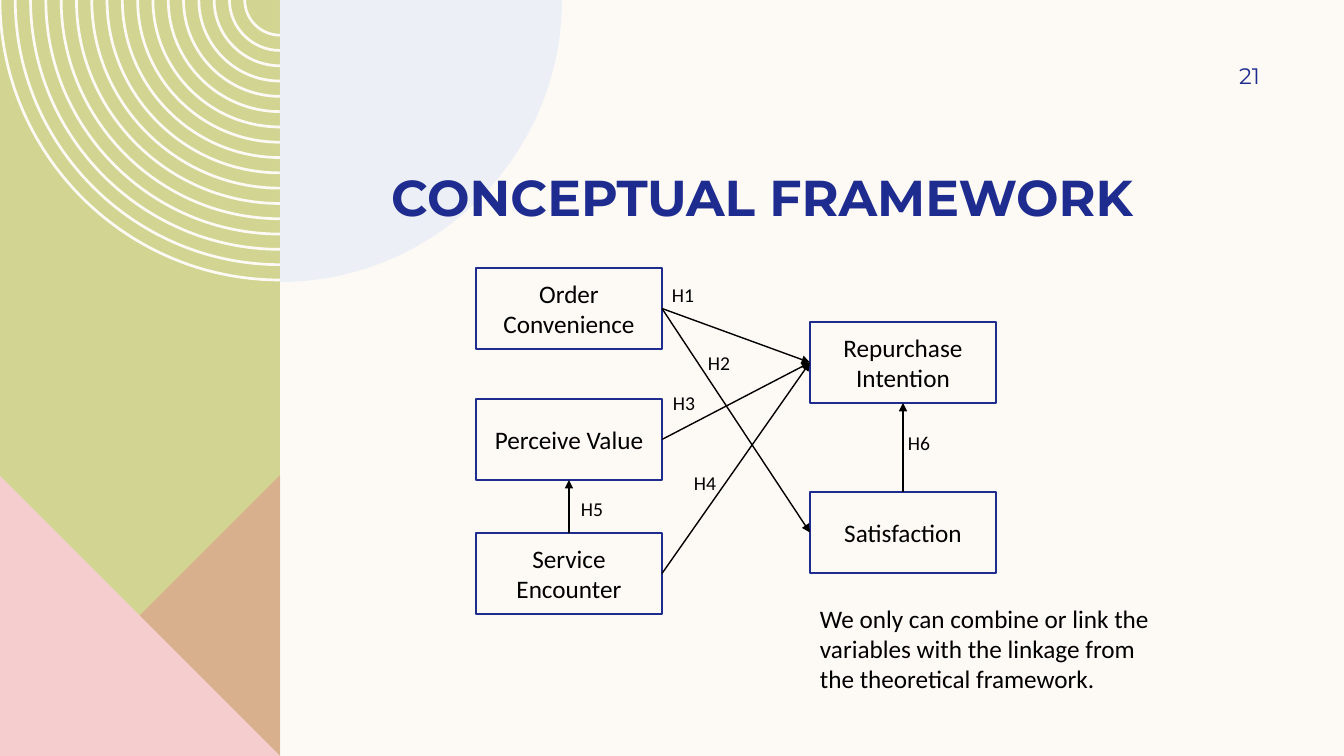
import lxml.etree
import pptx
import pptx.dml.color
import pptx.enum.shapes
import pptx.enum.text
import pptx.oxml.ns
import pptx.util

PX = 914400 / 100.8
ALIGN = pptx.enum.text.PP_ALIGN
ANCHOR = pptx.enum.text.MSO_ANCHOR
THEME = {
    "cream": "FDFAF6", "green": "D2D592", "rose": "DE8C8C", "pink": "F5CDCE",
    "sky": "DDE7F6", "navy": "1F2C8F", "black": "000000",
    "heading": "Montserrat", "body": "Calibri",
    "title_size": 36, "text_size": 18, "number_size": 16, "label_size": 14,
}
COLORS = {name: pptx.dml.color.RGBColor.from_string(THEME[name])
          for name in ("cream", "green", "rose", "pink", "sky", "navy", "black")}


def px(*lengths):
    return [pptx.util.Emu(round(length * PX)) for length in lengths]


def write(shape, text, font=THEME["body"], size=THEME["text_size"], color="black",
          bold=False, align=ALIGN.LEFT, anchor=ANCHOR.TOP, insets=(10, 5, 10, 5)):
    frame = shape.text_frame
    frame.word_wrap = True
    frame.auto_size = pptx.enum.text.MSO_AUTO_SIZE.NONE
    frame.vertical_anchor = anchor
    (frame.margin_left, frame.margin_top,
     frame.margin_right, frame.margin_bottom) = px(*insets)
    para = frame.paragraphs[0]
    para.alignment = align
    span = para.add_run()
    span.text = text
    span.font.name = font
    span.font.size = pptx.util.Pt(size)
    span.font.bold = bold
    span.font.color.rgb = COLORS[color]


deck = pptx.Presentation()
deck.slide_width, deck.slide_height = px(1344, 756)
page = deck.slides.add_slide(deck.slide_layouts[5])
page.background.fill.solid()
page.background.fill.fore_color.rgb = COLORS["cream"]

# Side panel: contours, colour, opacity in percent, kind of outline
BEND = 0.55  # handle length of a quarter circle, as a share of its radius
radii = [280 - 15.3 * index for index in range(17)]
rings = [[(280 - r, 0), (280 - r, BEND * r), (280 - BEND * r, r), (280, r)] for r in radii]
quarter_disc = [(280, 282), (280 + BEND * 282, 282), (562, BEND * 282), (562, 0), (280, 0)]
decorations = [
    ([[(-1, 0), (280, 0), (280, 756), (-1, 756)]], "green", 100, "straight"),
    (rings, "cream", 100, "stroke"),
    ([[(280, 475), (280, 756), (-1, 756)]], "rose", 50, "straight"),
    ([[(-1, 475), (280, 756), (-1, 756)]], "pink", 100, "straight"),
    ([quarter_disc], "sky", 50, "curved"),
]
for contours, color, opacity, kind in decorations:
    builder = page.shapes.build_freeform(*px(*contours[0][0]))
    for index, contour in enumerate(contours):
        points = [px(*point) for point in contour]
        if index:
            builder.move_to(*points[0])
        builder.add_line_segments(points[1:], close=kind != "stroke")
    shape = builder.convert_to_shape()
    shape.shadow.inherit = False
    if kind == "stroke":
        shape.fill.background()
        shape.line.color.rgb = COLORS[color]
        shape.line.width = px(2.7)[0]
    else:
        shape.line.fill.background()
        shape.fill.solid()
        shape.fill.fore_color.rgb = COLORS[color]
    if kind != "straight":
        # The first three segments of each contour become one Bézier curve
        for start in list(shape.element.iter(pptx.oxml.ns.qn("a:moveTo"))):
            segments = list(start.itersiblings())[:3]
            curve = lxml.etree.Element(pptx.oxml.ns.qn("a:cubicBezTo"))
            start.addnext(curve)
            for segment in segments:
                curve.append(segment[0])
                segment.getparent().remove(segment)
    if opacity < 100:
        tint = shape.element.spPr.find(".//" + pptx.oxml.ns.qn("a:srgbClr"))
        alpha = lxml.etree.SubElement(tint, pptx.oxml.ns.qn("a:alpha"))
        alpha.set("val", str(opacity * 1000))

title = page.shapes.title
title.left, title.top, title.width, title.height = px(381, 117, 878, 110)
title.element.getparent().append(title.element)  # in front of the side panel
write(title, "CONCEPTUAL FRAMEWORK", font=THEME["heading"], size=THEME["title_size"],
      color="navy", bold=True, anchor=ANCHOR.BOTTOM, insets=(10, 0, 10, 0))

number = page.shapes.add_textbox(*px(1142, 50, 118, 52))
write(number, "21", font=THEME["heading"], size=THEME["number_size"], color="navy",
      align=ALIGN.RIGHT, anchor=ANCHOR.MIDDLE, insets=(10, 5, 0, 5))

# Variables of the framework
variables = {}
for name, left, top in [
    ("Order Convenience", 476, 268),
    ("Satisfaction", 810, 492),
    ("Repurchase Intention", 810, 322),
    ("Perceive Value", 476, 399),
    ("Service Encounter", 476, 533),
]:
    box = page.shapes.add_shape(
        pptx.enum.shapes.MSO_SHAPE.RECTANGLE, *px(left, top, 186, 81))
    box.shadow.inherit = False
    box.fill.solid()
    box.fill.fore_color.rgb = COLORS["cream"]
    box.line.color.rgb = COLORS["navy"]
    box.line.width = pptx.util.Pt(1)
    write(box, name, align=ALIGN.CENTER, anchor=ANCHOR.MIDDLE)
    variables[name] = box

# Hypotheses: label, its place, cause and side, effect and side
TOP, LEFT, BOTTOM, RIGHT = range(4)
hypotheses = [
    ("H1", 662, 278, "Order Convenience", RIGHT, "Repurchase Intention", LEFT),
    ("H2", 698, 346, "Order Convenience", RIGHT, "Satisfaction", LEFT),
    ("H3", 663, 386, "Perceive Value", RIGHT, "Repurchase Intention", LEFT),
    ("H4", 684, 466, "Service Encounter", RIGHT, "Repurchase Intention", LEFT),
    ("H5", 571, 492, "Service Encounter", TOP, "Perceive Value", BOTTOM),
    ("H6", 898, 426, "Satisfaction", TOP, "Repurchase Intention", BOTTOM),
]
for label, left, top, cause, cause_side, effect, effect_side in hypotheses:
    arrow = page.shapes.add_connector(
        pptx.enum.shapes.MSO_CONNECTOR.STRAIGHT, 0, 0, 0, 0)
    arrow.begin_connect(variables[cause], cause_side)
    arrow.end_connect(variables[effect], effect_side)
    arrow.line.color.rgb = COLORS["black"]
    arrow.line.width = pptx.util.Pt(1)
    outline = arrow.element.spPr.find(pptx.oxml.ns.qn("a:ln"))
    lxml.etree.SubElement(outline, pptx.oxml.ns.qn("a:tailEnd")).set("type", "triangle")
    lxml.etree.SubElement(arrow.element.spPr, pptx.oxml.ns.qn("a:effectLst"))
    write(page.shapes.add_textbox(*px(left, top, 60, 34)), label, size=THEME["label_size"])

remark = page.shapes.add_textbox(*px(810, 598, 369, 102))
write(remark, "We only can combine or link the variables with the linkage "
              "from the theoretical framework.")

deck.save("out.pptx")
